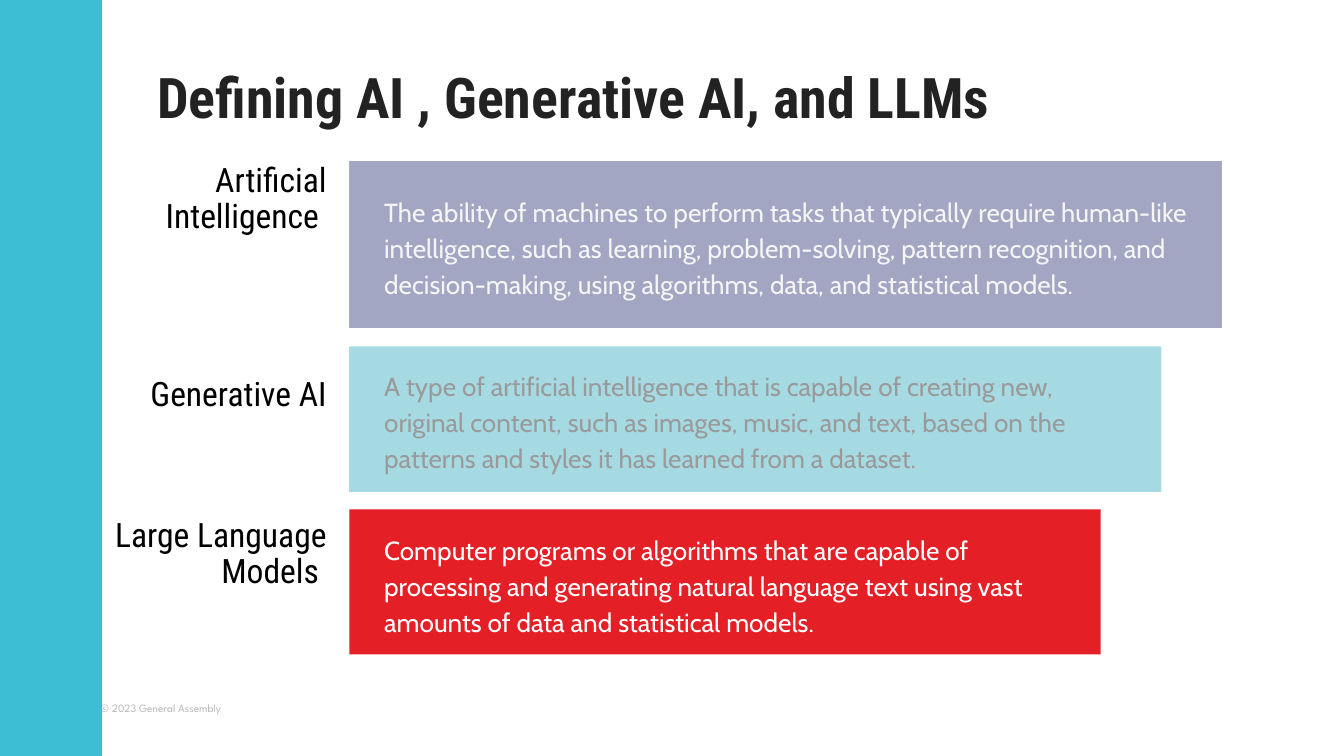
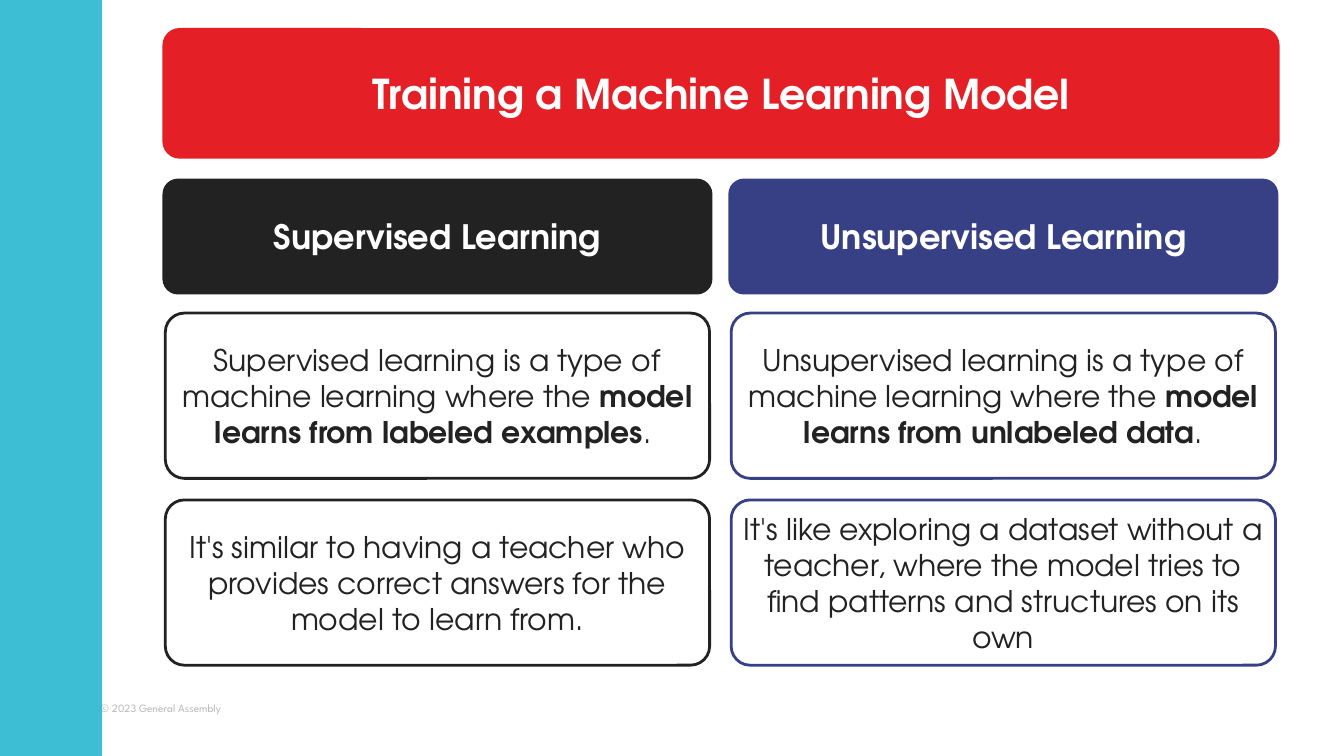
from dataclasses import dataclass

from lxml import etree
from pptx import Presentation
from pptx.dml.color import RGBColor
from pptx.enum.shapes import MSO_SHAPE
from pptx.enum.text import MSO_ANCHOR, PP_ALIGN
from pptx.oxml.ns import qn
from pptx.util import Inches, Pt

RECT, ROUNDED = MSO_SHAPE.RECTANGLE, MSO_SHAPE.ROUNDED_RECTANGLE
TOP, MIDDLE = MSO_ANCHOR.TOP, MSO_ANCHOR.MIDDLE
LEFT, CENTER, RIGHT = PP_ALIGN.LEFT, PP_ALIGN.CENTER, PP_ALIGN.RIGHT


@dataclass(frozen=True)
class Style:
    font: str
    size: int
    color: str
    bold: bool = False


@dataclass(frozen=True)
class Theme:
    teal: str = "3DBED4"
    red: str = "E41F26"
    navy: str = "374085"
    ink: str = "222222"
    white: str = "FFFFFF"
    veil: str = "EFEFEF"
    title: Style = Style("Roboto Condensed", 30, "222222", True)
    term: Style = Style("Roboto Condensed", 18, "000000")
    light_definition: Style = Style("Cabin", 14, "FFFFFF")
    dark_definition: Style = Style("Cabin", 14, "222222")
    banner: Style = Style("TeX Gyre Adventor", 22, "FFFFFF", True)
    heading: Style = Style("TeX Gyre Adventor", 18, "FFFFFF", True)
    body: Style = Style("TeX Gyre Adventor", 16, "222222")
    footer: Style = Style("League Spartan", 6, "B7B7B7")


THEME = Theme()
SLIDE_WIDTH = 10
SLIDE_HEIGHT = SLIDE_WIDTH * 9 / 16
VEIL_OPACITY = 59
CORNER = 0.115


def write(shape, parts, style, align=LEFT, anchor=MIDDLE, insets=(0, 0), spacing=None):
    """Fill a shape with one paragraph; every second part is emphasised."""
    frame = shape.text_frame
    frame.word_wrap = True
    frame.vertical_anchor = anchor
    frame.margin_left = frame.margin_right = Inches(insets[0])
    frame.margin_top = frame.margin_bottom = Inches(insets[1])
    paragraph = frame.paragraphs[0]
    paragraph.alignment = align
    if spacing:
        paragraph.line_spacing = spacing
    for index, part in enumerate(parts):
        run = paragraph.add_run()
        run.text = part
        run.font.name = style.font
        run.font.size = Pt(style.size)
        run.font.bold = style.bold or index % 2 == 1
        run.font.color.rgb = RGBColor.from_string(style.color)


def add_text(slide, box, text, style, **layout):
    write(slide.shapes.add_textbox(*map(Inches, box)), [text], style, **layout)


def add_block(slide, box, fill, kind=RECT, line=None, line_width=0):
    block = slide.shapes.add_shape(kind, *map(Inches, box))
    block.shadow.inherit = False
    block.fill.solid()
    block.fill.fore_color.rgb = RGBColor.from_string(fill)
    if line:
        block.line.color.rgb = RGBColor.from_string(line)
        block.line.width = Pt(line_width)
    else:
        block.line.fill.background()
    return block


def add_veil(slide, box):
    """Fade what lies beneath with a translucent rectangle."""
    veil = add_block(slide, box, THEME.veil)
    color = veil.fill._xPr.find(qn("a:solidFill"))[0]
    etree.SubElement(color, qn("a:alpha")).set("val", str(VEIL_OPACITY * 1000))


def add_card(slide, box, parts, style, fill, line, line_width):
    card = add_block(slide, box, fill, ROUNDED, line, line_width)
    card.adjustments[0] = CORNER
    write(card, parts, style, align=CENTER, insets=(0.04, 0.04))


def add_base_slide(deck):
    slide = deck.slides.add_slide(deck.slide_layouts[6])
    add_text(slide, (0.75, 5.17, 1, 0.2), "© 2023 General Assembly", THEME.footer)
    add_block(slide, (0, 0, 0.76, SLIDE_HEIGHT), THEME.teal)
    return slide


def add_definition(slide, term, term_top, bar, fill, definition, text_box, style, faded):
    add_text(slide, (0.6, term_top, 1.93, 0.57), term, THEME.term,
             align=RIGHT, insets=(0.1, 0.05), spacing=0.9)
    add_block(slide, bar, fill)
    add_text(slide, text_box, definition, style, insets=(0.1, 0.05), spacing=1.15)
    if faded:
        add_veil(slide, bar)


def build_definitions(deck):
    slide = add_base_slide(deck)
    add_text(slide, (1.17, 0.52, 8.9, 0.5), "Defining AI , Generative AI, and LLMs",
             THEME.title, anchor=TOP, spacing=0.9)
    add_definition(
        slide, "Artificial Intelligence ", 1.2, (2.6, 1.2, 6.49, 1.24), THEME.navy,
        "The ability of machines to perform tasks that typically require human-like "
        "intelligence, such as learning, problem-solving, pattern recognition, and "
        "decision-making, using algorithms, data, and statistical models.",
        (2.76, 1.25, 6.19, 1.16), THEME.light_definition, faded=True)
    add_definition(
        slide, "Generative AI", 2.66, (2.6, 2.58, 6.04, 1.08), THEME.teal,
        "A type of artificial intelligence that is capable of creating new, original "
        "content, such as images, music, and text, based on the patterns and styles "
        "it has learned from a dataset.",
        (2.76, 2.64, 5.75, 0.96), THEME.dark_definition, faded=True)
    add_definition(
        slide, "Large Language Models ", 3.84, (2.6, 3.79, 5.59, 1.08), THEME.red,
        "Computer programs or algorithms that are capable of processing and generating "
        "natural language text using vast amounts of data and statistical models.",
        (2.76, 3.88, 5.27, 0.93), THEME.light_definition, faded=False)


def add_learning_column(slide, left, color, heading, explanations):
    width = 4.05
    add_card(slide, (left, 1.35, width, 0.82), [heading], THEME.heading, color, color, 3)
    for row, parts in enumerate(explanations):
        add_card(slide, (left, 2.33 + row * 1.39, width, 1.23), parts,
                 THEME.body, THEME.white, color, 1.5)


def build_training(deck):
    slide = add_base_slide(deck)
    add_card(slide, (1.23, 0.23, 8.27, 0.93), ["Training a Machine Learning Model"],
             THEME.banner, THEME.red, THEME.red, 3)
    add_learning_column(slide, 1.23, THEME.ink, "Supervised Learning", [
        ["Supervised learning is a type of machine learning where the ",
         "model learns from labeled examples", ". "],
        ["It's similar to having a teacher who provides correct answers "
         "for the model to learn from."],
    ])
    add_learning_column(slide, 5.44, THEME.navy, "Unsupervised Learning", [
        ["Unsupervised learning is a type of machine learning where the ",
         "model learns from unlabeled data", "."],
        ["It's like exploring a dataset without a teacher, where the model "
         "tries to find patterns and structures on its own"],
    ])


def main():
    deck = Presentation()
    deck.slide_width, deck.slide_height = Inches(SLIDE_WIDTH), Inches(SLIDE_HEIGHT)
    build_definitions(deck)
    build_training(deck)
    deck.save("out.pptx")


if __name__ == "__main__":
    main()
